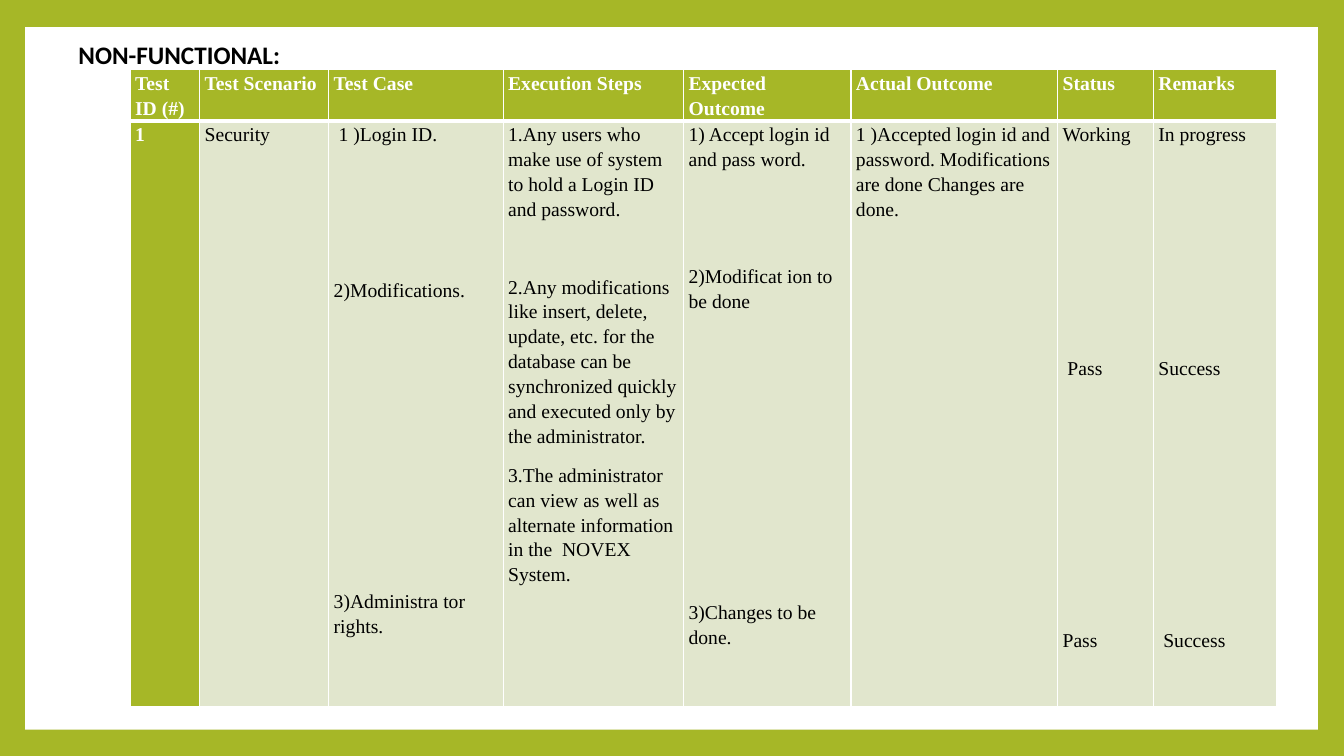
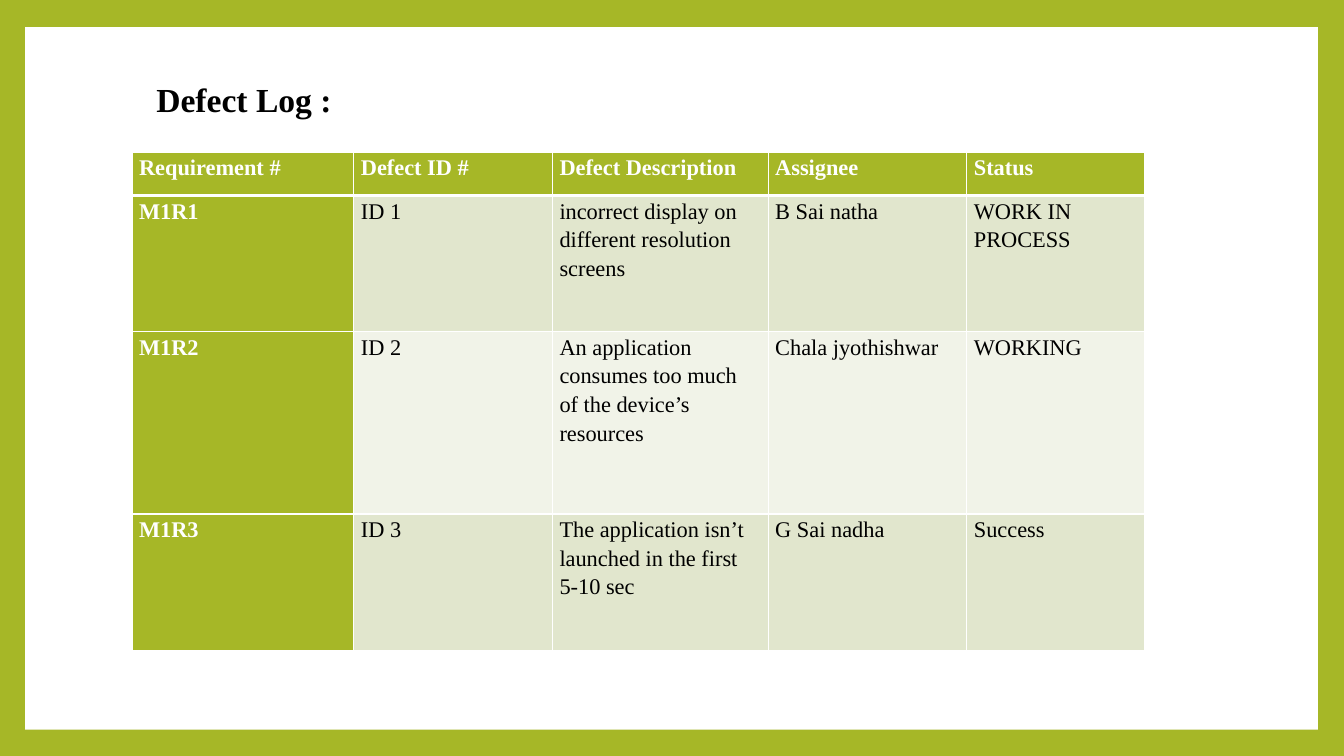
"""Build two test-report slides: non-functional test cases and a defect log."""
from lxml.etree import SubElement
from pptx import Presentation
from pptx.dml.color import RGBColor
from pptx.enum.shapes import MSO_SHAPE as Shape
from pptx.oxml import parse_xml
from pptx.oxml.ns import nsdecls, qn
from pptx.util import Inches, Pt

GREEN, WHITE, BLACK = "A6B727", "FFFFFF", "000000"
BANDS = ["E1E6CD", "F1F3E8"]
SERIF = "Times New Roman"
STEP = 27.8


def style(item, color, size=None, font=None, bold=False):
    """Colour a fill, or format a font when a size is given."""
    if size is None:
        item.solid()
        item.fore_color.rgb = RGBColor.from_string(color)
    else:
        item.size, item.name, item.bold = Pt(size), font, bold
        item.color.rgb = RGBColor.from_string(color)


def put_table(slide, left, top, widths, heights, rows, size, inset):
    """Add a table; a cell is a text or a list of (steps above, text)."""
    table = slide.shapes.add_table(
        len(rows), len(widths), Inches(left), Inches(top),
        Inches(sum(widths)), Inches(sum(heights))).table
    for column, width in zip(table.columns, widths):
        column.width = Inches(width)
    for r, (row, height) in enumerate(zip(rows, heights)):
        table.rows[r].height = Inches(height)
        for c, content in enumerate(row):
            accent = r == 0 or c == 0
            cell = table.cell(r, c)
            cell.margin_left = cell.margin_right = Inches(inset)
            cell.margin_top = cell.margin_bottom = 0
            entries = [(0, content)] if isinstance(content, str) else content
            cell.text_frame.text = "\n".join(text for _, text in entries)
            for paragraph, (steps, _) in zip(cell.text_frame.paragraphs, entries):
                paragraph.line_spacing = 1.15
                paragraph.space_before = Pt(steps * STEP)
                paragraph.space_after = Pt(10)
                style(paragraph.runs[0].font, WHITE if accent else BLACK,
                      size, SERIF, accent)
            borders = {"lnL": 1, "lnR": 1, "lnT": 3 if r == 1 else 1,
                       "lnB": 3 if r == 0 else 1}
            for side, points in borders.items():
                line = SubElement(cell._tc.get_or_add_tcPr(), qn("a:" + side),
                                  w=str(Pt(points)))
                line.append(parse_xml(
                    f'<a:solidFill {nsdecls("a")}><a:srgbClr val="{WHITE}"/></a:solidFill>'))
            style(cell.fill, GREEN if accent else BANDS[(r - 1) % 2])


prs = Presentation()
prs.slide_width, prs.slide_height = Inches(13.33), Inches(7.5)
master = prs.slide_master
style(master.background.fill, GREEN)
test_slide, defect_slide = [prs.slides.add_slide(prs.slide_layouts[6]) for _ in range(2)]

panel = test_slide.shapes.add_shape(
    Shape.RECTANGLE, Inches(0.25), Inches(0.27), Inches(12.82), Inches(6.97))
style(panel.fill, WHITE)
panel.line.fill.background()
panel.shadow.inherit = False
panel._element.nvSpPr.cNvPr.set("id", "20")
master.shapes._spTree.insert(2, panel._element)

test_rows = [
    ["Test ID (#)", "Test Scenario", "Test Case", "Execution Steps",
     "Expected Outcome", "Actual Outcome", "Status", "Remarks"],
    ["1", "Security",
     [(0, " 1 )Login ID."), (3, "2)Modifications."), (7, "3)Administra tor rights.")],
     [(0, "1.Any users who make use of system to hold a Login ID and password."),
      (1, "2.Any modifications like insert, delete, update, etc. for the database "
          "can be synchronized quickly and executed only by the administrator."),
      (0, "3.The administrator can view as well as alternate information "
          "in the  NOVEX System.")],
     [(0, "1) Accept login id and pass word."), (2, "2)Modificat ion to be done"),
      (7, "3)Changes to be done.")],
     "1 )Accepted login id and password. Modifications are done Changes are done.",
     [(0, "Working"), (5, " Pass"), (6, "Pass")],
     [(0, "In progress"), (5, "Success"), (6, " Success")]],
]
put_table(test_slide, 1.29, 0.69, [0.69, 1.28, 1.73, 1.79, 1.66, 2.05, 0.95, 1.22],
          [0.51, 5.81], test_rows, 14, 0.05)

defect_rows = [
    ["Requirement #", "Defect ID #", "Defect Description", "Assignee", "Status"],
    ["M1R1", "ID 1", "incorrect display on different resolution screens",
     "B Sai natha", "WORK IN PROCESS"],
    ["M1R2", "ID 2", "An application consumes too much of the device’s resources",
     "Chala jyothishwar", "WORKING"],
    ["M1R3", "ID 3", "The application isn’t launched in the first 5-10 sec",
     "G Sai nadha", "Success"],
]
put_table(defect_slide, 1.31, 1.51, [2.2, 1.97, 2.14, 1.97, 1.76],
          [0.43, 1.35, 1.81, 1.35], defect_rows, 16, 0.07)

headings = [
    (test_slide, "NON-FUNCTIONAL:", 0.68, 0.34, 5, 0.4, 0.1, 0.05, 18, "Calibri"),
    (defect_slide, "Defect Log :", 1.3, 0.59, 2.11, 0.92, 0.25, 0.19, 24, SERIF),
]
for slide, text, left, top, width, height, inset_left, inset_top, size, font in headings:
    heading = slide.shapes.add_textbox(
        Inches(left), Inches(top), Inches(width), Inches(height)).text_frame
    heading.margin_left, heading.margin_top = Inches(inset_left), Inches(inset_top)
    heading.text = text
    style(heading.paragraphs[0].runs[0].font, BLACK, size, font, True)

prs.save("out.pptx")
